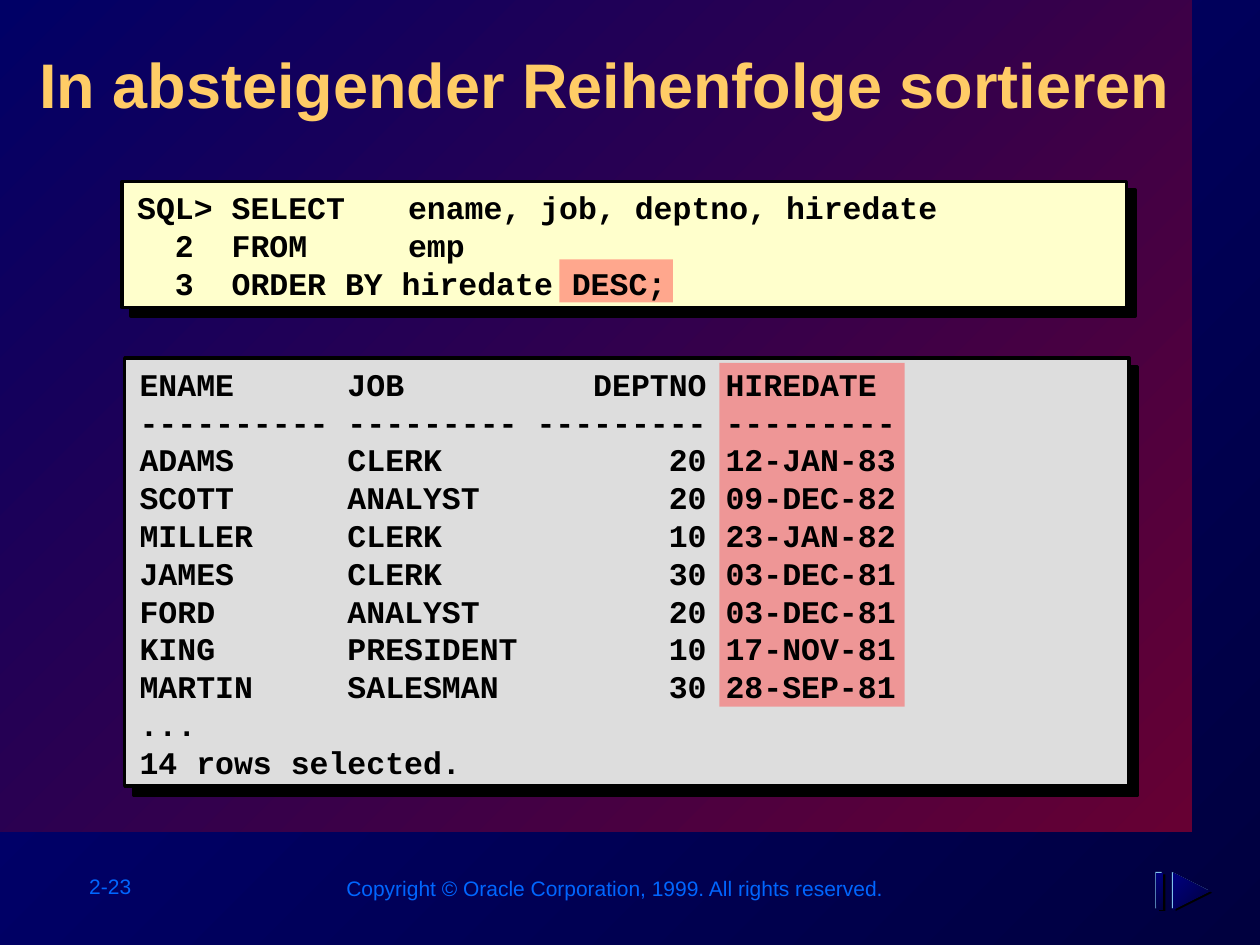
"""Build the slide on sorting query results in descending order."""
from lxml import etree
from pptx import Presentation
from pptx.dml.color import RGBColor
from pptx.enum.shapes import MSO_SHAPE
from pptx.enum.text import MSO_ANCHOR, PP_ALIGN
from pptx.oxml.ns import qn
from pptx.util import Inches, Pt

COLORS = {
    "night": "00003F", "navy": "000080", "wine": "660033", "indigo": "000066",
    "footer": "0066FF", "title": "FFCC66", "black": "000000", "code": "FFFFCC",
    "result": "DDDDDD", "highlight": "FF5050", "edge": "7FC1EB",
}
BACKDROP = ("night", "navy")


def paint(fill, color):
    if isinstance(color, tuple):
        fill.gradient()
        fill.gradient_angle = 135
        for stop, name in zip(fill.gradient_stops, color):
            stop.color.rgb = RGBColor.from_string(COLORS[name])
    else:
        fill.solid()
        fill.fore_color.rgb = RGBColor.from_string(COLORS[color])


def add_shadow(properties, distance):
    effects = etree.SubElement(properties, qn("a:effectLst"))
    shadow = etree.SubElement(effects, qn("a:outerShdw"), blurRad="0",
                              dist=str(Pt(distance)), dir="2700000", algn="ctr")
    etree.SubElement(shadow, qn("a:srgbClr"), val=COLORS["black"])


prs = Presentation()
prs.slide_width, prs.slide_height = Inches(10), Inches(7.5)
slide = prs.slides.add_slide(prs.slide_layouts[6])
shapes = slide.shapes
paint(slide.background.fill, BACKDROP)

panel = shapes.add_shape(MSO_SHAPE.RECTANGLE, 0, 0, Inches(9.46), Inches(6.6))
panel.shadow.inherit = False
panel.line.fill.background()
paint(panel.fill, ("wine", "indigo"))

for left, top, height, color in [(0.97, 1.44, 1, "code"), (0.99, 2.84, 3.4, "result")]:
    frame = shapes.add_shape(MSO_SHAPE.RECTANGLE, Inches(left), Inches(top),
                             Inches(7.97), Inches(height))
    paint(frame.fill, color)
    paint(frame.line.fill, "black")
    frame.line.width = Pt(2)
    add_shadow(frame._element.spPr, 7.1)

for box in [(4.44, 2.06, 0.9, 0.34), (5.71, 2.88, 1.47, 2.73)]:
    highlight = shapes.add_shape(MSO_SHAPE.RECTANGLE, *map(Inches, box))
    highlight.shadow.inherit = False
    highlight.line.fill.background()
    paint(highlight.fill, "highlight")
    tint = highlight._element.spPr.find(".//" + qn("a:srgbClr"))
    etree.SubElement(tint, qn("a:alpha"), val="50000")

query = [
    "SQL> SELECT  \t ename, job, deptno, hiredate",
    "  2  FROM    \t emp",
    "  3  ORDER BY hiredate DESC;",
]
employees = [
    ("ADAMS", "CLERK", 20, "12-JAN-83"),
    ("SCOTT", "ANALYST", 20, "09-DEC-82"),
    ("MILLER", "CLERK", 10, "23-JAN-82"),
    ("JAMES", "CLERK", 30, "03-DEC-81"),
    ("FORD", "ANALYST", 20, "03-DEC-81"),
    ("KING", "PRESIDENT", 10, "17-NOV-81"),
    ("MARTIN", "SALESMAN", 30, "28-SEP-81"),
]
result = [
    "ENAME      JOB          DEPTNO HIREDATE",
    "---------- --------- --------- ---------",
    *(f"{name:<10} {job:<9} {dept:>9} {hired}" for name, job, dept, hired in employees),
    "...",
    "14 rows selected.",
]
title = ["In absteigender Reihenfolge sortieren"]
copyright_line = ["Copyright © Oracle Corporation, 1999. All rights reserved."]

texts = [
    ((0.61, 6.88, 1.11, 0.3), ["2-23"], "Arial", 12, "footer"),
    ((2.65, 6.9, 4.48, 0.3), copyright_line, "Arial", 12, "footer"),
    ((0.19, 0.31, 9.22, 0.96), title, "Arial", 36, "title"),
    ((0.99, 1.43, 8, 1.03), query, "Courier New", 18, "black"),
    ((1.01, 2.83, 8, 3.43), result, "Courier New", 18, "black"),
]
for box, lines, font_name, size, color in texts:
    text_frame = shapes.add_textbox(*map(Inches, box)).text_frame
    text_frame.word_wrap = True
    if lines in (query, result):
        text_frame.vertical_anchor = MSO_ANCHOR.MIDDLE
    for index, line in enumerate(lines):
        paragraph = text_frame.add_paragraph() if index else text_frame.paragraphs[0]
        run = paragraph.add_run()
        run.text = line
        if "\t" in line:
            tabs = etree.SubElement(paragraph._p.get_or_add_pPr(), qn("a:tabLst"))
            for stop in (1.31, 2):
                etree.SubElement(tabs, qn("a:tab"), pos=str(Inches(stop)), algn="l")
        if lines is title:
            paragraph.alignment = PP_ALIGN.CENTER
            add_shadow(run._r.get_or_add_rPr(), 3)
        paragraph.font.name = font_name
        paragraph.font.size = Pt(size)
        paragraph.font.bold = color != "footer"
        paragraph.font.color.rgb = RGBColor.from_string(COLORS[color])

layers = [(0.03, 0.02, "black"), (0, 0, "edge"), (0.01, 0.01, BACKDROP)]
for left, width, tip in [(9.17, 0.05, None), (9.3, 0.29, 0.145)]:
    for dx, dy, color in layers:
        x, y = left + dx, 6.92 + dy
        if tip is None:
            mark = shapes.add_shape(MSO_SHAPE.RECTANGLE, Inches(x), Inches(y),
                                    Inches(width), Inches(0.29))
        else:
            outline = shapes.build_freeform(Inches(x + width), Inches(y + tip))
            outline.add_line_segments([(Inches(x), Inches(y)),
                                       (Inches(x), Inches(y + 0.29))])
            mark = outline.convert_to_shape()
        mark.shadow.inherit = False
        mark.line.fill.background()
        paint(mark.fill, color)

prs.save("out.pptx")
